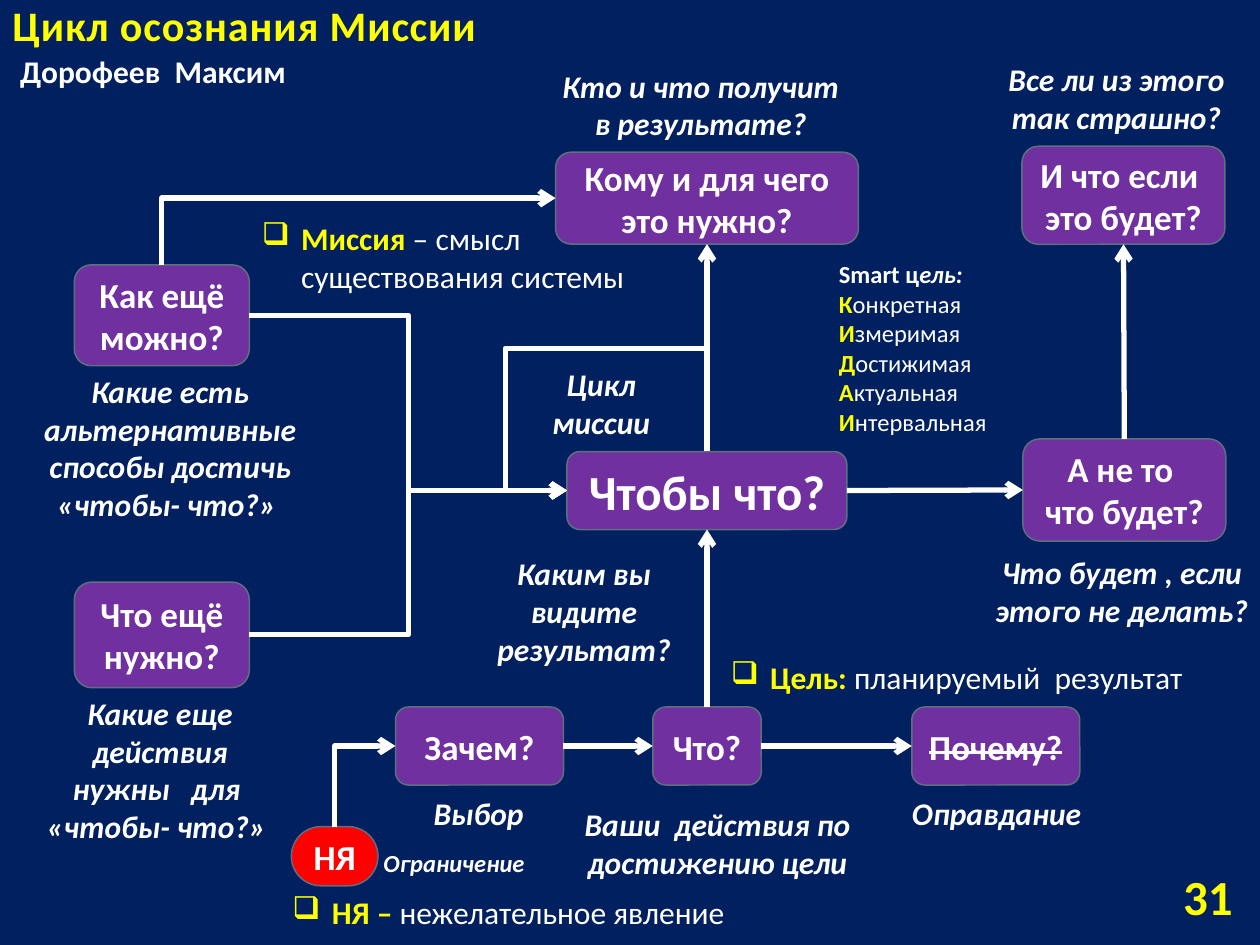
from lxml.etree import SubElement
from pptx import Presentation
from pptx.dml.color import RGBColor
from pptx.enum.shapes import MSO_CONNECTOR, MSO_SHAPE
from pptx.enum.text import MSO_ANCHOR, PP_ALIGN
from pptx.oxml.ns import qn
from pptx.util import Pt

NAVY = RGBColor(0x00, 0x20, 0x60)
PURPLE = RGBColor(0x70, 0x30, 0xA0)
RED = RGBColor(0xFF, 0x00, 0x00)
GREY = RGBColor(0x5D, 0x70, 0x80)
YELLOW = RGBColor(0xFF, 0xFF, 0x00)
WHITE = RGBColor(0xFF, 0xFF, 0xFF)
FONT = "Calibri"
TOP, LEFT, BOTTOM, RIGHT = range(4)


def add_run(p, text, size=18, color=WHITE, bold=True, italic=False, strike=False, spacing=0):
    r = p.add_run()
    r.text = text
    f = r.font
    f.name, f.size, f.bold, f.italic = FONT, Pt(size), bold, italic
    f.color.rgb = color
    if strike:
        r._r.get_or_add_rPr().set("strike", "sngStrike")
    if spacing:
        r._r.get_or_add_rPr().set("spc", str(int(spacing * 100)))


def add_lines(p, text, **fmt):
    for i, line in enumerate(text.split("\n")):
        if i:
            p.add_line_break()
        add_run(p, line, **fmt)


def add_text(s, box, runs, align=PP_ALIGN.LEFT, anchor=MSO_ANCHOR.TOP, wrap=True):
    tf = s.shapes.add_textbox(*map(Pt, box)).text_frame
    tf.word_wrap, tf.vertical_anchor = wrap, anchor
    p = tf.paragraphs[0]
    p.alignment = align
    for text, fmt in runs:
        add_run(p, text, **fmt)
    return tf


def header(s, x, y, w):
    add_text(s, (x, y, w, 33), [("Цикл осознания Миссии", dict(size=24, color=YELLOW, spacing=0.5))],
             anchor=MSO_ANCHOR.BOTTOM)
    add_text(s, (x, y + 26.6, 170.6, 29), [("Дорофеев  Максим", {})], PP_ALIGN.RIGHT)


def page_number(s, box):
    add_text(s, box, [("31", dict(size=28, color=YELLOW))], PP_ALIGN.RIGHT, MSO_ANCHOR.MIDDLE)


def node(s, box, text, fill=PURPLE, round_ends=False, **fmt):
    sp = s.shapes.add_shape(MSO_SHAPE.ROUNDED_RECTANGLE, *map(Pt, box))
    sp.shadow.inherit = False
    sp.fill.solid()
    sp.fill.fore_color.rgb = fill
    sp.line.color.rgb = GREY
    sp.line.width = Pt(0.85)
    if round_ends:
        sp.adjustments[0] = 0.5
    tf = sp.text_frame
    tf.word_wrap, tf.vertical_anchor = True, MSO_ANCHOR.MIDDLE
    p = tf.paragraphs[0]
    p.alignment = PP_ALIGN.CENTER
    add_lines(p, text, **{"size": 20, **fmt})
    return sp


def arrow(s, target, target_site, source, source_site, preset="straightConnector1", adjust=()):
    kind = MSO_CONNECTOR.STRAIGHT if preset.startswith("straight") else MSO_CONNECTOR.ELBOW
    c = s.shapes.add_connector(kind, 0, 0, 0, 0)
    c.begin_connect(target, target_site)
    c.end_connect(source, source_site)
    c.line.color.rgb = WHITE
    c.line.width = Pt(3)
    sp_pr = c._element.spPr
    SubElement(c.line._get_or_add_ln(), qn("a:headEnd"), type="arrow")
    SubElement(sp_pr, qn("a:effectLst"))
    geom = sp_pr.find(qn("a:prstGeom"))
    geom.set("prst", preset)
    for i, value in enumerate(adjust, 1):
        SubElement(geom.find(qn("a:avLst")), qn("a:gd"), name=f"adj{i}", fmla=f"val {value}")


def diagram(s, x, y):
    def at(dx, dy, w, h):
        return x + dx, y + dy, w, h

    so_that = node(s, at(284, 178, 160, 44.6), "Чтобы что?", size=28)
    for_whom = node(s, at(277.5, 7, 173, 52.5), "Кому и для чего это нужно?")
    how_else = node(s, at(2.5, 71.4, 100, 57.6), "Как ещё можно?")
    what_else = node(s, at(2.5, 252.6, 100, 60.4), "Что ещё нужно?")
    otherwise = node(s, at(544.5, 170.8, 116, 58.4), "А не то \nчто будет?")
    what_if = node(s, at(544, 3.6, 116, 56), "И что если  это будет?")
    what_for = node(s, at(186, 324, 96, 44.6), "Зачем?")
    what = node(s, at(333, 324, 62, 44.6), "Что?")
    why = node(s, at(481, 324, 96, 44.6), "Почему?", strike=True)
    unwanted = node(s, at(126.5, 392.4, 49.5, 33.8), "НЯ", fill=RED, round_ends=True)

    for target, end, source, start in (
        (so_that, BOTTOM, what, TOP), (for_whom, BOTTOM, so_that, TOP),
        (otherwise, LEFT, so_that, RIGHT), (what_if, BOTTOM, otherwise, TOP),
        (what, LEFT, what_for, RIGHT), (why, LEFT, what, RIGHT),
    ):
        arrow(s, target, end, source, start)
    for source in (how_else, what_else):
        arrow(s, so_that, LEFT, source, RIGHT, "bentConnector3", (50000,))
    arrow(s, for_whom, LEFT, how_else, TOP, "bentConnector2")
    arrow(s, what_for, LEFT, unwanted, TOP, "bentConnector2")
    arrow(s, so_that, LEFT, so_that, TOP, "bentConnector4", (-44100, 364500))


def captions(s, x, y):
    for dx, dy, w, h, text, size in (
        (309, 34.5, 183, 51, "Кто и что получит в результате?", 18),
        (551.5, 31, 173, 51, "Все ли из этого так страшно?", 18),
        (8, 209, 178.5, 94, "Какие есть альтернативные способы достичь «чтобы- что?» ", 18),
        (292.5, 205, 102, 51, "Цикл миссии", 18),
        (554.5, 312.5, 173, 51, "Что будет , если этого не делать?", 18),
        (276.5, 313, 114.5, 73, "Каким вы видите результат?", 18),
        (18, 393, 147, 94, "Какие еще действия нужны   для  «чтобы- что?» ", 18),
        (222.5, 450, 102, 29, "Выбор", 18),
        (308, 456.5, 204, 51, "Ваши  действия по достижению цели", 18),
        (512.5, 450, 114, 29, "Оправдание", 18),
        (211, 481, 97, 24.5, "Ограничение", 14),
    ):
        add_text(s, (x + dx, y + dy, w, h), [(text, dict(size=size, italic=True))], PP_ALIGN.CENTER)


def definition(s, box, term, meaning, wrap=False):
    tf = add_text(s, box, [(term, dict(color=YELLOW)), (meaning, dict(bold=False))], wrap=wrap)
    p_pr = tf.paragraphs[0]._p.get_or_add_pPr()
    p_pr.set("marL", str(Pt(22.5)))
    p_pr.set("indent", str(-Pt(22.5)))
    SubElement(p_pr, qn("a:buChar"), char="❑")


def smart_goal(s, box):
    tf = add_text(s, box, [("Smart ц", dict(size=14)), ("ель:", dict(size=14, italic=True))])
    p = tf.add_paragraph()
    for word in ("Конкретная  ", "Измеримая  ", "Достижимая ", "Актуальная  ", "Интервальная"):
        add_run(p, word[0], size=14, color=YELLOW)
        add_run(p, word[1:], size=14, bold=False)


def main():
    prs = Presentation()
    prs.slide_width, prs.slide_height = Pt(720), Pt(540)
    s = prs.slides.add_slide(prs.slide_layouts[6])
    s.background.fill.solid()
    s.background.fill.fore_color.rgb = NAVY
    header(s, 0, -0.7, 348.5)
    diagram(s, 40, 80)
    captions(s, 0, 0)
    definition(s, (142.5, 121.7, 275, 51), "Миссия", " – смысл существования системы", wrap=True)
    definition(s, (410.5, 372.5, 276, 29), "Цель: ", "планируемый  результат")
    definition(s, (160, 507, 264, 29), "НЯ – ", "нежелательное явление")
    smart_goal(s, (472.3, 144.7, 122.4, 108.7))
    page_number(s, (626.5, 497.5, 85, 29))
    prs.save("out.pptx")


if __name__ == "__main__":
    main()
